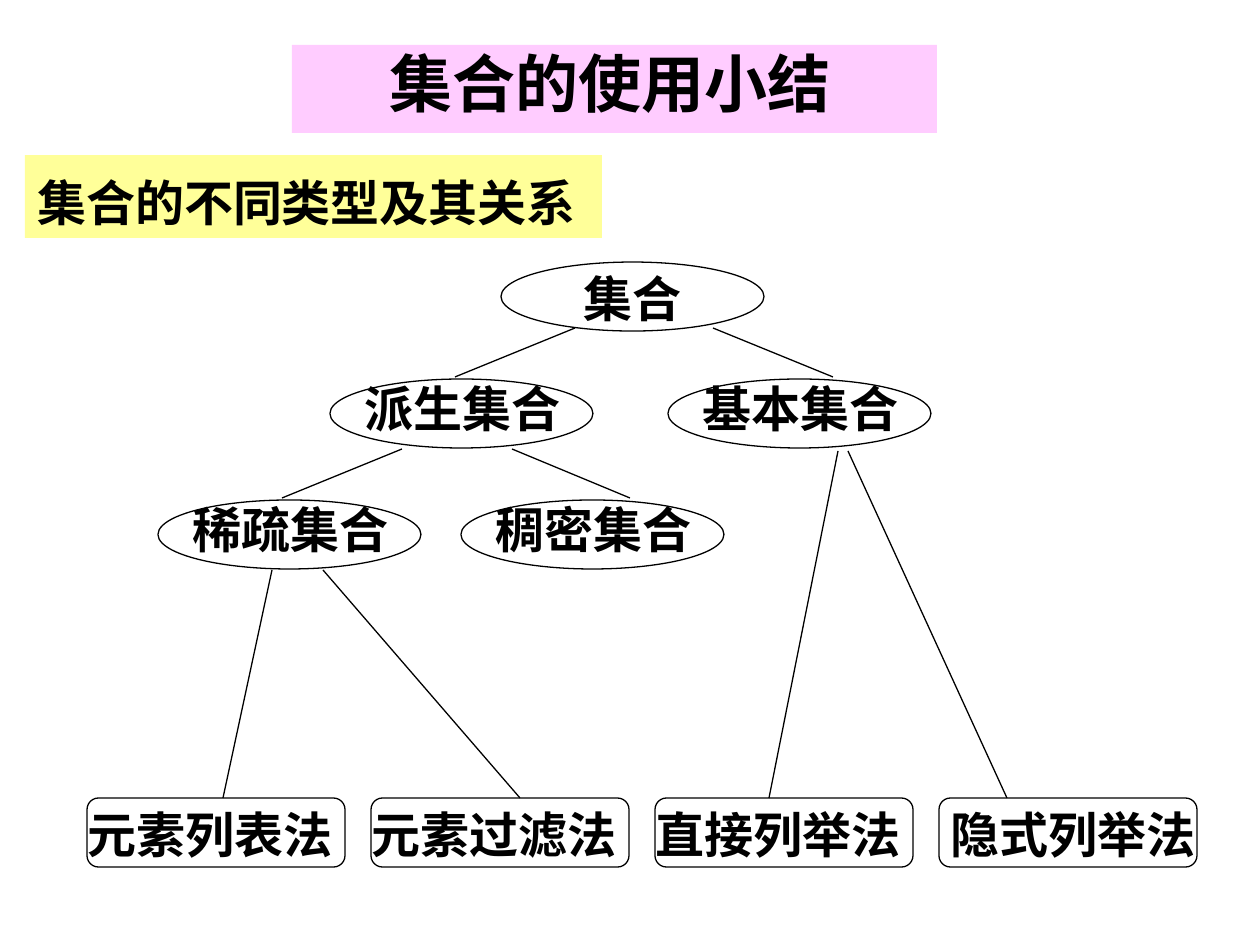
from pptx import Presentation
from pptx import util as u
from pptx.dml import color
from pptx.enum import shapes, text
from pptx.oxml import ns
from lxml import etree

EMU_PER_PX = 914400 / 126
FONT = "Times New Roman"
COLORS = {"ink": "000000", "title": "FFCCFF", "heading": "FFFF99"}
ELLIPSE = shapes.MSO_SHAPE.OVAL
ROUNDED = shapes.MSO_SHAPE.ROUNDED_RECTANGLE
RECTANGLE = shapes.MSO_SHAPE.RECTANGLE


def px(*lengths):
    return [u.Emu(round(length * EMU_PER_PX)) for length in lengths]


def rgb(name):
    return color.RGBColor.from_string(COLORS[name])


class SlideBuilder:
    def __init__(self, slide):
        self.slide = slide

    def band(self, area, fill):
        box = self.slide.shapes.add_shape(RECTANGLE, *px(*area))
        box.shadow.inherit = False
        box.fill.solid()
        box.fill.fore_color.rgb = rgb(fill)
        box.line.fill.background()

    def outline(self, kind, area):
        box = self.slide.shapes.add_shape(kind, *px(*area))
        box.shadow.inherit = False
        box.fill.background()
        self.stroke(box.line)

    def stroke(self, line):
        line.color.rgb = rgb("ink")
        line.width = u.Pt(0.75)

    def label(self, words, area, size=28, align=text.PP_ALIGN.LEFT, spacing=1.0):
        box = self.slide.shapes.add_textbox(*px(*area))
        frame = box.text_frame
        frame.word_wrap = True
        frame.vertical_anchor = text.MSO_ANCHOR.TOP
        para = frame.paragraphs[0]
        para.alignment = align
        para.line_spacing = spacing
        span = para.add_run()
        span.text = words
        span.font.name = FONT
        span.font.size = u.Pt(size)
        span.font.bold = True
        span.font.color.rgb = rgb("ink")

    def branch(self, start, end):
        link = self.slide.shapes.add_connector(
            shapes.MSO_CONNECTOR.STRAIGHT, *px(*start, *end))
        self.stroke(link.line)
        properties = link.element.find(ns.qn("p:spPr"))
        etree.SubElement(properties, ns.qn("a:effectLst"))


def main():
    deck = Presentation()
    deck.slide_width, deck.slide_height = px(1260, 945)
    page = SlideBuilder(deck.slides.add_slide(deck.slide_layouts[6]))

    page.band((292, 45, 645, 88), "title")
    page.label("集合的使用小结", (223, 38, 774, 107), 36, text.PP_ALIGN.CENTER)
    heading_area = (25, 155, 577, 83)
    page.band(heading_area, "heading")
    page.label("集合的不同类型及其关系", heading_area, spacing=1.2)

    page.outline(ELLIPSE, (501, 262, 263, 69))
    page.label("集合", (571, 262, 129, 72))

    set_kinds = [("派生集合", 330, 379), ("基本集合", 668, 379),
                 ("稀疏集合", 158, 500), ("稠密集合", 461, 500)]
    for words, left, top in set_kinds:
        page.outline(ELLIPSE, (left, top, 263, 69))
        page.label(words, (left + 22, top - 7, 238, 72))

    methods = ["元素列表法", "元素过滤法", "直接列举法", " 隐式列举法"]
    for index, words in enumerate(methods):
        left = 87 + 284 * index
        page.outline(ROUNDED, (left, 798, 258, 69))
        page.label(words, (left - 12, 798, 287, 72))

    branches = [((575, 328), (455, 377)), ((713, 328), (833, 377)),
                ((402, 449), (282, 498)), ((512, 449), (630, 498)),
                ((272, 570), (223, 798)), ((323, 570), (520, 798)),
                ((838, 451), (769, 798)), ((848, 451), (1007, 798))]
    for start, end in branches:
        page.branch(start, end)

    deck.save("out.pptx")


if __name__ == "__main__":
    main()
